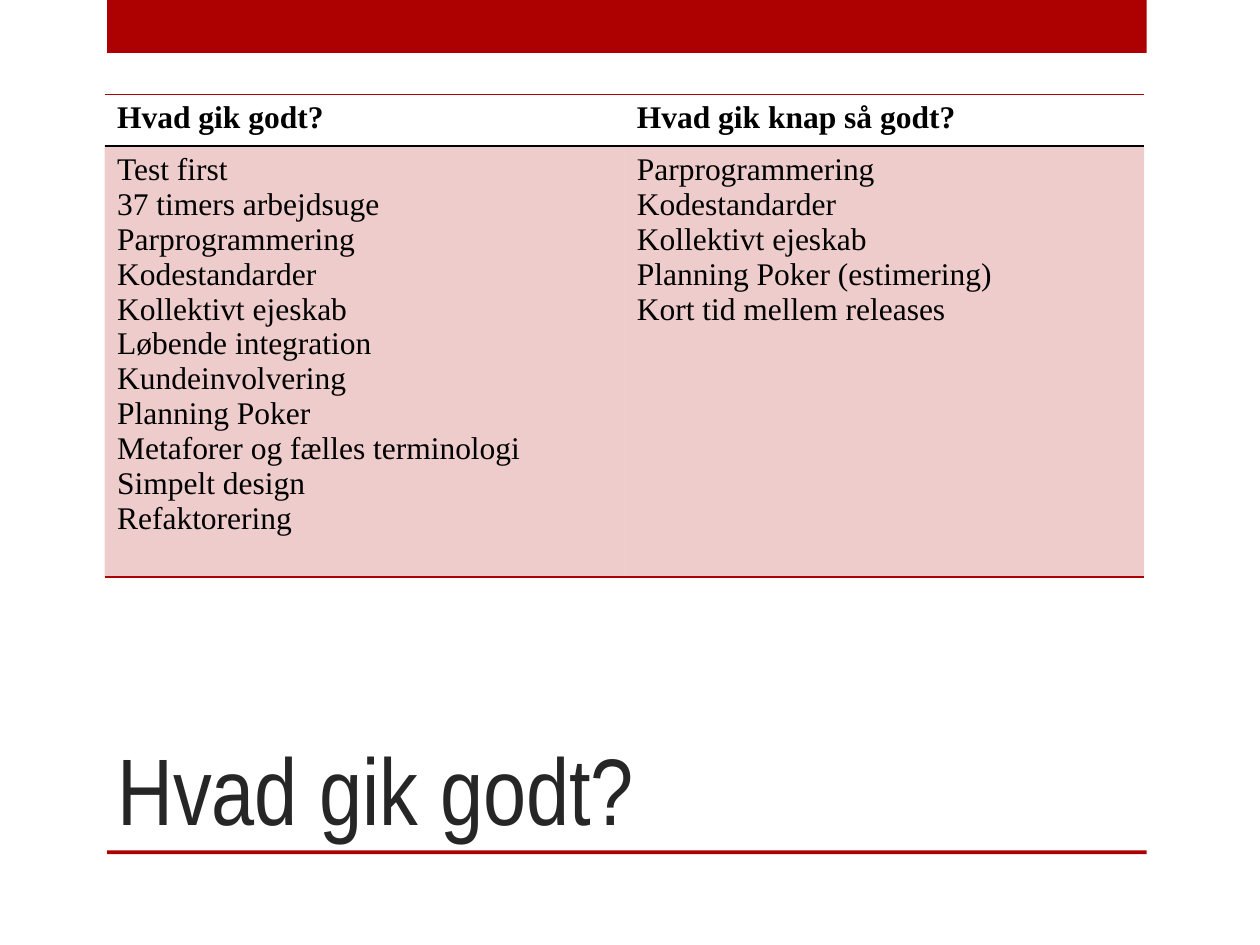
from dataclasses import dataclass

from lxml.etree import SubElement
from pptx import Presentation
from pptx.dml.color import RGBColor
from pptx.enum.shapes import MSO_SHAPE
from pptx.enum.text import MSO_ANCHOR
from pptx.oxml.ns import qn
from pptx.util import Inches, Pt

RED, BLACK, TITLE_GREY = "AD0101", "000000", "262626"
HEADER_HEIGHT, BODY_HEIGHT = 0.41, 3.42


@dataclass
class Bar:
    top: float
    height: float


@dataclass
class Column:
    heading: str
    items: list[str]


BARS = [Bar(0, 0.42), Bar(6.75, 0.03)]
COLUMNS = [
    Column("Hvad gik godt?", [
        "Test first", "37 timers arbejdsuge", "Parprogrammering",
        "Kodestandarder", "Kollektivt ejeskab", "Løbende integration",
        "Kundeinvolvering", "Planning Poker",
        "Metaforer og fælles terminologi", "Simpelt design", "Refaktorering",
    ]),
    Column("Hvad gik knap så godt?", [
        "Parprogrammering", "Kodestandarder", "Kollektivt ejeskab",
        "Planning Poker (estimering)", "Kort tid mellem releases",
    ]),
]


def color(value: str) -> RGBColor:
    return RGBColor.from_string(value)


def write_text(frame, lines: list[str], *, font: str, size: float,
               fill: str = BLACK, bold: bool = False) -> None:
    for index, line in enumerate(lines):
        paragraph = frame.paragraphs[0] if index == 0 else frame.add_paragraph()
        run = paragraph.add_run()
        run.text = line
        run.font.name = font
        run.font.size = Pt(size)
        run.font.bold = bold
        run.font.color.rgb = color(fill)


def draw_bar(slide, bar: Bar) -> None:
    shape = slide.shapes.add_shape(MSO_SHAPE.RECTANGLE, Inches(0.85), Inches(bar.top),
                                   Inches(8.25), Inches(bar.height))
    shape.shadow.inherit = False
    shape.fill.solid()
    shape.fill.fore_color.rgb = color(RED)
    shape.line.fill.background()


def set_borders(cell, top: str, bottom: str) -> None:
    """Draw the horizontal borders and clear the vertical ones."""
    properties = cell._tc.get_or_add_tcPr()
    borders = {"a:lnL": None, "a:lnR": None, "a:lnT": top, "a:lnB": bottom}
    for position, (tag, value) in enumerate(borders.items()):
        line = SubElement(properties, qn(tag), w=str(Pt(1)))
        if value is None:
            SubElement(line, qn("a:noFill"))
        else:
            SubElement(SubElement(line, qn("a:solidFill")), qn("a:srgbClr"), val=value)
        properties.insert(position, line)


def tint_cell(cell, value: str, percent: int) -> None:
    cell.fill.solid()
    cell.fill.fore_color.rgb = color(value)
    tint = cell._tc.tcPr.find(".//" + qn("a:srgbClr"))
    SubElement(tint, qn("a:alpha"), val=str(percent * 1000))


def draw_table(slide, columns: list[Column]) -> None:
    frame = slide.shapes.add_table(2, len(columns), Inches(0.83), Inches(0.75),
                                   Inches(8.25), Inches(HEADER_HEIGHT + BODY_HEIGHT))
    table = frame.table
    table.first_row = table.horz_banding = False
    table.rows[0].height = Inches(HEADER_HEIGHT)
    table.rows[1].height = Inches(BODY_HEIGHT)
    for index, column in enumerate(columns):
        header, body = table.cell(0, index), table.cell(1, index)
        write_text(header.text_frame, [column.heading],
                   font="Times New Roman", size=18, bold=True)
        write_text(body.text_frame, column.items, font="Times New Roman", size=18)
        header.fill.background()
        tint_cell(body, RED, 20)
        set_borders(header, RED, BLACK)
        set_borders(body, BLACK, RED)


def main() -> None:
    presentation = Presentation()
    presentation.slide_width, presentation.slide_height = Inches(10), Inches(7.5)
    slide = presentation.slides.add_slide(presentation.slide_layouts[5])

    # Red bars at the top and under the title
    for bar in BARS:
        draw_bar(slide, bar)

    # Title
    title = slide.shapes.title
    title.left, title.top = Inches(0.83), Inches(5)
    title.width, title.height = Inches(7.42), Inches(1.75)
    title.text_frame.vertical_anchor = MSO_ANCHOR.BOTTOM
    write_text(title.text_frame, ["Hvad gik godt?"],
               font="Arial Narrow", size=54, fill=TITLE_GREY)
    title.text_frame.paragraphs[0].alignment = 1  # left

    # Comparison table
    draw_table(slide, COLUMNS)
    presentation.save("out.pptx")


if __name__ == "__main__":
    main()
